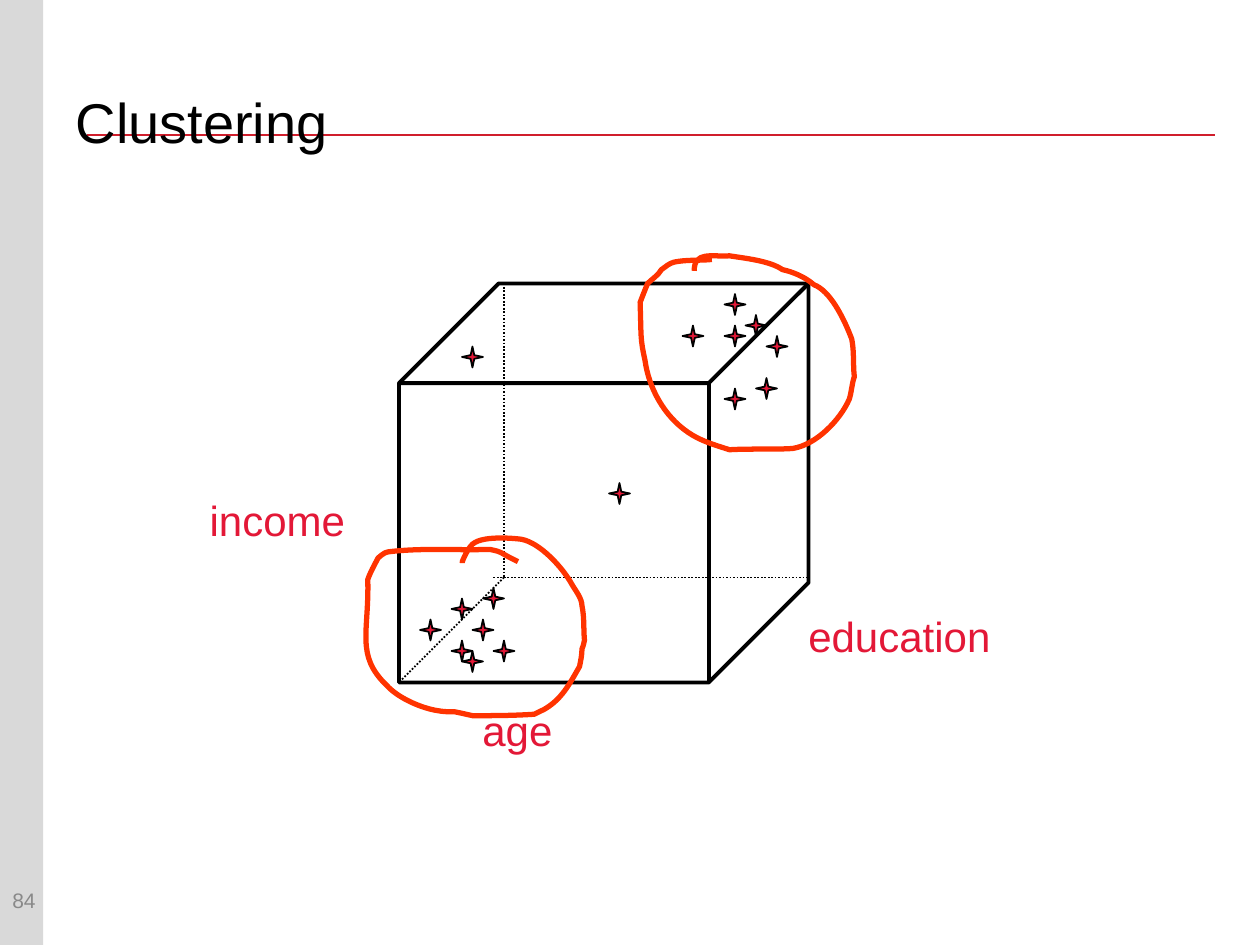
from lxml import etree
from pptx import Presentation
from pptx.dml.color import RGBColor
from pptx.enum.dml import MSO_LINE
from pptx.enum.shapes import MSO_CONNECTOR, MSO_SHAPE
from pptx.enum.text import MSO_ANCHOR, MSO_AUTO_SIZE, PP_ALIGN
from pptx.oxml.ns import qn
from pptx.util import Pt

RECT, CUBE, STAR = MSO_SHAPE.RECTANGLE, MSO_SHAPE.CUBE, MSO_SHAPE.STAR_4_POINT
LINE, DOTS = MSO_CONNECTOR.STRAIGHT, MSO_LINE.ROUND_DOT
MIDDLE, LEFT, GROW = MSO_ANCHOR.MIDDLE, PP_ALIGN.LEFT, MSO_AUTO_SIZE.SHAPE_TO_FIT_TEXT
FONT = "Arial"
BLACK, RED, ORANGE, GRAY = "000000", "E31837", "FF3300", "898989"
BAND, RULE = "D9D9D9", "D01E2C"

# Text, left, top, width
LABELS = [("age", 268.6, 398.9, 54.7), ("income", 112.7, 279, 92.2),
          ("education", 454.8, 345.2, 118.8)]
EDGES = [(288, 162, 288, 330), (288, 330, 228, 390), (282, 330, 462, 330)]
SIZE = 12
# Left and top of each star, behind and in front of the dotted edges
BACK = [(348, 276), (390, 186), (432, 216), (414, 186), (438, 192),
        (414, 168), (282, 366), (276, 336), (258, 366), (240, 354)]
FRONT = [(264, 198), (270, 354), (426, 180), (414, 222),
         (264, 372), (258, 342)]
# Each loop: a start point, then two handles and an end point per curve
LOOPS = [
    [(296, 321), (283, 314.6), (288.7, 316), (280, 314),
     (260.6, 314.6), (241, 313), (221.8, 315.4),
     (219.6, 315.4), (216, 319), (216, 319),
     (213.8, 323.3), (211.7, 326.9), (210.2, 331.2),
     (211, 361.4), (203, 374.4), (221, 391.7),
     (227.5, 398.9), (240.5, 404.6), (249.8, 406.1),
     (253.4, 406.8), (256.3, 406.8), (259.9, 406.8),
     (263.5, 407.5), (270, 409), (270, 409),
     (281.5, 409), (293, 409), (305.3, 408.2),
     (307.4, 407.5), (308.9, 406.1), (311, 405.4),
     (321.1, 399.6), (325.4, 391), (331.2, 380.9),
     (331.9, 377.3), (332.6, 374.4), (332.6, 370.8),
     (333.4, 369.4), (334, 365.8), (334, 365.8),
     (333.4, 359.3), (334, 352.8), (332.6, 346.3),
     (332.6, 342), (329, 337.7), (326.9, 334.1),
     (321.8, 324.7), (308.9, 310.3), (298, 308.2),
     (298, 308.2), (276.5, 305.3), (270, 311),
     (267.8, 313.2), (266.4, 316.1), (265, 319),
     (264.2, 319.7), (264.2, 321.8), (264.2, 321.8)],
    [(406.8, 148.3), (399.6, 149), (392.4, 148.3), (385.2, 149.8),
     (382.3, 150.5), (380.2, 152.6), (378, 154.1),
     (375.8, 157.7), (373, 159.1), (370.1, 162),
     (368.6, 165.6), (367.2, 169.2), (365.8, 172.8),
     (366.5, 193.7), (365.8, 193), (368.6, 205.9),
     (370.8, 221.8), (379.4, 237.6), (393.1, 247),
     (400.3, 252), (408.2, 254.2), (416.9, 257),
     (429.1, 256.3), (441.4, 257), (452.9, 256.3),
     (466.6, 254.2), (480.2, 239.8), (485.3, 228.2),
     (486.7, 223.9), (486.7, 219.6), (488.2, 215.3),
     (487.4, 208.1), (488.2, 200.9), (486.7, 193.7),
     (486.7, 192.2), (485.3, 191.5), (485.3, 190.1),
     (481.7, 181.4), (474.5, 166.3), (465.1, 162.7),
     (460.1, 158.4), (453.6, 155.5), (447.1, 154.1),
     (439.9, 149), (425.5, 147.6), (416.9, 146.2),
     (406.8, 146.9), (396.7, 143.3), (396.7, 154.8)],
]


def color(code):
    """Turn a hex string into a colour."""
    return RGBColor.from_string(code)


def paint(shape, fill=None, line=None, width=1):
    """Set fill and outline, and drop the shadow."""
    shape.shadow.inherit = False
    if fill:
        shape.fill.solid()
        shape.fill.fore_color.rgb = color(fill)
    else:
        shape.fill.background()
    if line:
        shape.line.color.rgb = color(line)
        shape.line.width = Pt(width)
    else:
        shape.line.fill.background()


def add(kind, left, top, width, height):
    """Add a preset shape."""
    return shapes.add_shape(kind, Pt(left), Pt(top), Pt(width), Pt(height))


def rule(ends, code, width, dash=None):
    """Draw a straight line."""
    line = shapes.add_connector(LINE, *map(Pt, ends))
    line.line.color.rgb = color(code)
    line.line.width = Pt(width)
    if dash:
        line.line.dash_style = dash
    etree.SubElement(line._element.spPr, qn("a:effectLst"))


def write(shape, text, size, code):
    """Put one styled line of text in a shape."""
    shape.text_frame.text = text
    part = shape.text_frame.paragraphs[0]
    part.alignment = LEFT
    font = part.runs[0].font
    font.name, font.size, font.color.rgb = FONT, Pt(size), color(code)


def label(text, left, top, width, height, size, code):
    """Add a text box."""
    box = shapes.add_textbox(Pt(left), Pt(top), Pt(width), Pt(height))
    write(box, text, size, code)
    return box


def mark(spots):
    """Add a star at each spot."""
    for left, top in spots:
        star = add(STAR, left, top, SIZE, SIZE)
        star.adjustments[0] = 0.125
        paint(star, RED, BLACK)


def loop(nodes):
    """Draw an open chain of cubic curves."""
    points = [(Pt(x), Pt(y)) for x, y in nodes]
    pen = shapes.build_freeform(*points[0])
    pen.add_line_segments(points[1:], close=False)
    shape = pen.convert_to_shape()
    lines = list(shape._element.iter(qn("a:lnTo")))
    for i in range(0, len(lines), 3):
        curve = etree.Element(qn("a:cubicBezTo"))
        lines[i].addprevious(curve)
        for line in lines[i:i + 3]:
            curve.append(line[0])
            line.getparent().remove(line)
    paint(shape, None, ORANGE, 3)


deck = Presentation()
deck.slide_width, deck.slide_height = Pt(720), Pt(540)
slide = deck.slides.add_slide(deck.slide_layouts[5])
shapes = slide.shapes

paint(add(RECT, 0, 0, 24.7, 540), BAND)
rule((49.7, 77, 694.3, 77), RULE, 1.25)

title = shapes.title
title.left, title.top, title.width, title.height = map(Pt, (36, 24.2, 660, 90))
write(title, "Clustering", 32, BLACK)
title.text_frame.vertical_anchor = MIDDLE
shapes._spTree.append(title._element)

number = label("84", 0, 499.4, 36, 30, 12, GRAY)
number.text_frame.word_wrap = True
number.text_frame.vertical_anchor = MIDDLE

cube = add(CUBE, 228, 162, 234, 228)
cube.adjustments[0] = 0.25
paint(cube, None, BLACK, 2.25)

for text, left, top, width in LABELS:
    box = label(text, left, top, width, 36, 24, RED)
    box.text_frame.word_wrap = False
    box.text_frame.auto_size = GROW

mark(BACK)
for ends in EDGES:
    rule(ends, BLACK, 1, DOTS)
mark(FRONT)

for nodes in LOOPS:
    loop(nodes)

deck.save("out.pptx")
